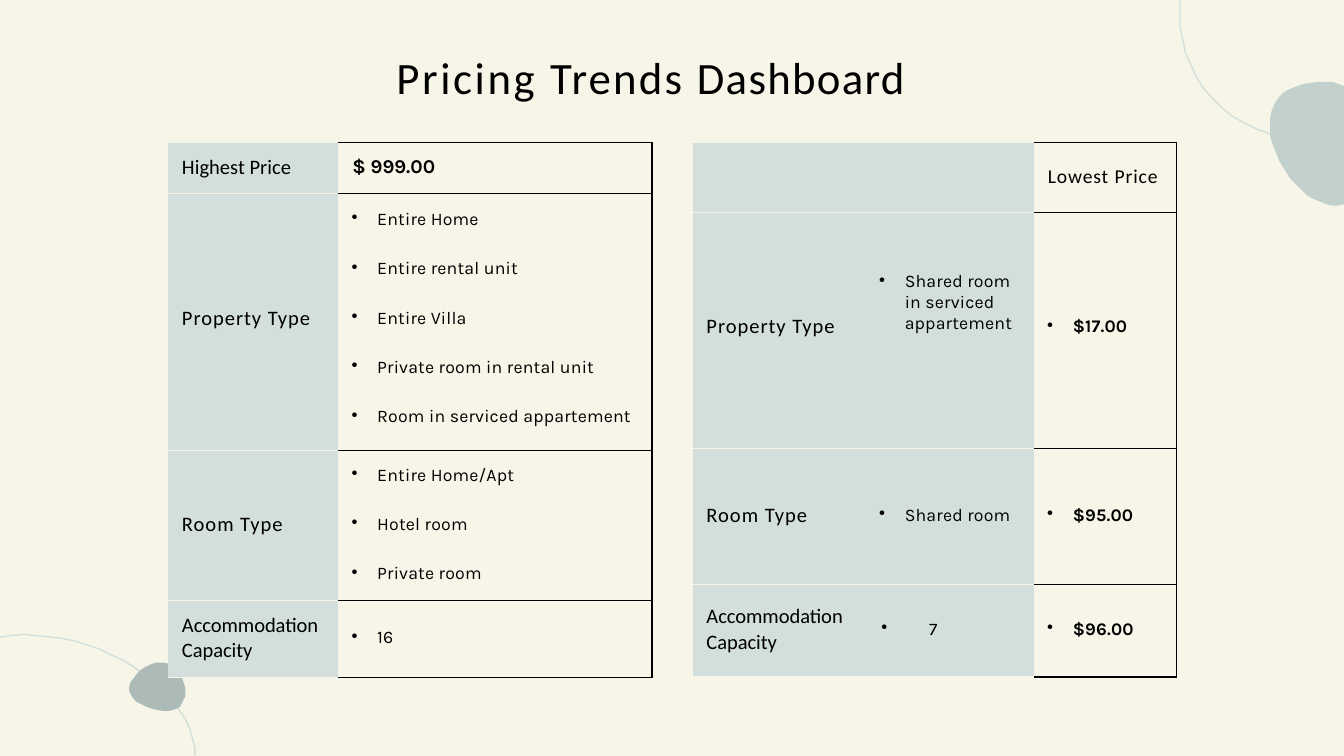
from lxml import etree
from pptx import Presentation, util as u
from pptx.dml.color import RGBColor
from pptx.enum import text
from pptx.oxml.ns import qn

Pt = u.Pt
CREAM = RGBColor(0xF7, 0xF5, 0xE8)
MIST = RGBColor(0xD2, 0xDF, 0xDC)
SAGE = RGBColor(0xAC, 0xBA, 0xB8)
PALE_SAGE = RGBColor(0xC2, 0xD1, 0xCE)
BLACK = RGBColor(0, 0, 0)


def add_run(paragraph, content, font_name, size, spacing, bold=False):
    run = paragraph.add_run()
    run.text = content
    run.font.name = font_name
    run.font.size = Pt(size)
    run.font.bold = bold
    run.font.color.rgb = BLACK
    run._r.get_or_add_rPr().set("spc", str(round(spacing * 100)))


def set_border(cell, side, color):
    line = etree.SubElement(cell._tc.get_or_add_tcPr(), qn(f"a:ln{side}"), w=str(Pt(0.75)))
    if color is None:
        etree.SubElement(line, qn("a:noFill"))
    else:
        fill = etree.SubElement(line, qn("a:solidFill"))
        etree.SubElement(fill, qn("a:srgbClr"), val=str(color))


presentation = Presentation()
presentation.slide_width, presentation.slide_height = Pt(720), Pt(405)
slide = presentation.slides.add_slide(presentation.slide_layouts[5])
slide.background.fill.solid()
slide.background.fill.fore_color.rgb = CREAM

# Outline points are in units of 0.72 pt
lower_arc = [(0, 474), (8, 473), (18, 472), (27, 473), (37, 474), (46, 475), (56, 477),
             (65, 480), (74, 483), (82, 487), (91, 491), (99, 496), (106, 501), (114, 506),
             (120, 512), (129, 521), (133, 528), (138, 535), (141, 542), (143, 549),
             (145, 556), (145, 562)]
lower_blob = [(121, 493), (116, 493), (111, 495), (107, 497), (103, 500), (100, 504),
              (97, 508), (96, 512), (96, 514), (98, 518), (101, 522), (109, 526),
              (115, 528), (121, 529), (126, 529), (130, 528), (134, 526), (136, 522),
              (138, 518), (138, 512), (136, 506), (133, 500), (130, 497), (126, 494)]
upper_arc = [(878, 0), (878, 20), (880, 29), (882, 39), (886, 48), (890, 57), (895, 65),
             (901, 72), (908, 79), (916, 86), (925, 91), (935, 96), (946, 100), (959, 103),
             (972, 104), (984, 105), (1000, 104)]
upper_blob = [(986, 61), (980, 61), (973, 62), (968, 63), (963, 65), (958, 67), (955, 69),
              (952, 72), (949, 76), (946, 83), (945, 88), (945, 101), (946, 105),
              (948, 110), (950, 115), (952, 120), (955, 125), (958, 130), (961, 134),
              (965, 138), (968, 141), (972, 145), (977, 148), (982, 150), (987, 152),
              (991, 153), (995, 153), (1000, 152), (1000, 64), (997, 63), (992, 61)]
for points, fill_color in [(lower_arc, None), (lower_blob, SAGE),
                           (upper_arc, None), (upper_blob, PALE_SAGE)]:
    builder = slide.shapes.build_freeform(*points[0], scale=Pt(0.72))
    builder.add_line_segments(points[1:], close=fill_color is not None)
    shape = builder.convert_to_shape()
    shape.shadow.inherit = False
    if fill_color is None:
        shape.fill.background()
        shape.line.color.rgb = MIST
        shape.line.width = Pt(0.75)
    else:
        shape.fill.solid()
        shape.fill.fore_color.rgb = fill_color
        shape.line.fill.background()

title = slide.shapes.title
title.left, title.top, title.width, title.height = Pt(212.4), Pt(24.5), Pt(277), Pt(31)
frame = title.text_frame
frame.margin_left = frame.margin_right = frame.margin_bottom = 0
frame.margin_top = Pt(2)
frame.vertical_anchor = text.MSO_ANCHOR.TOP
frame.auto_size = text.MSO_AUTO_SIZE.NONE
frame.paragraphs[0].alignment = text.PP_ALIGN.LEFT
for word, spacing in [("Pricing ", 1.4), ("Trends ", 1.2), ("Dashboard", 0.7)]:
    add_run(frame.paragraphs[0], word, "Calibri", 24, spacing)

highest = [
    ["Highest Price", "$ 999.00"],
    ["Property Type", "Entire Home\nEntire rental unit\nEntire Villa\n"
                      "Private room in rental unit\nRoom in serviced appartement"],
    ["Room Type", "Entire Home/Apt\nHotel room\nPrivate room"],
    ["Accommodation Capacity", "16"],
]
lowest = [
    ["", "", "Lowest Price"],
    ["Property Type", "Shared room in serviced appartement", "$17.00"],
    ["Room Type", "Shared room", "$95.00"],
    ["Accommodation Capacity", "7", "$96.00"],
]
tables = [
    (90, [91.3, 168], [27.5, 137.5, 80.5, 41], highest),
    (371, [92.9, 90, 76.3], [37.5, 126.7, 72.5, 49.7], lowest),
]
label_spacing = {"Highest Price": 0, "Accommodation Capacity": -0.05}

for left, widths, heights, rows in tables:
    table = slide.shapes.add_table(len(rows), len(widths), Pt(left), Pt(76.3),
                                   Pt(sum(widths)), Pt(sum(heights))).table
    for column, width in zip(table.columns, widths):
        column.width = Pt(width)
    for row, height in zip(table.rows, heights):
        row.height = Pt(height)
    if len(widths) == 3:
        table.cell(0, 0).merge(table.cell(0, 1))

    for i, row in enumerate(rows):
        for j, content in enumerate(row):
            cell = table.cell(i, j)
            is_last = j == len(row) - 1
            is_bulleted = i > 0 and j > 0
            has_price = "$" in content
            edge = BLACK if is_last else CREAM
            for side, color in [("L", None), ("R", BLACK if is_last else None),
                                ("T", edge), ("B", edge)]:
                set_border(cell, side, color)
            cell.fill.solid()
            cell.fill.fore_color.rgb = CREAM if is_last else MIST
            cell.vertical_anchor = text.MSO_ANCHOR.MIDDLE
            cell.margin_top = cell.margin_right = 0
            cell.margin_left = 0 if is_bulleted else Pt(7.5)
            cell.margin_bottom = Pt(4 if i == 1 else 1)
            if content.startswith("Shared room in"):
                cell.margin_bottom, cell.margin_right = Pt(30), Pt(8)
            if not content:
                continue

            for k, item in enumerate(content.split("\n")):
                frame = cell.text_frame
                paragraph = frame.paragraphs[0] if k == 0 else frame.add_paragraph()
                if k:
                    paragraph.space_before = Pt(15.4)
                if is_bulleted:
                    properties = paragraph._p.get_or_add_pPr()
                    indent, hanging = (33.8, 25.5) if item == "7" else (20.8, 13.7)
                    properties.set("marL", str(Pt(indent)))
                    properties.set("indent", str(-Pt(hanging)))
                    etree.SubElement(properties, qn("a:buChar"), char="•")
                    add_run(paragraph, item, "Karla", 9.5, 0.1, has_price)
                elif has_price:
                    add_run(paragraph, item, "Karla", 10.5, 0, True)
                else:
                    add_run(paragraph, item, "Calibri", 11 if j == 0 else 10.5,
                            label_spacing.get(item, 0.5))

presentation.save("out.pptx")
